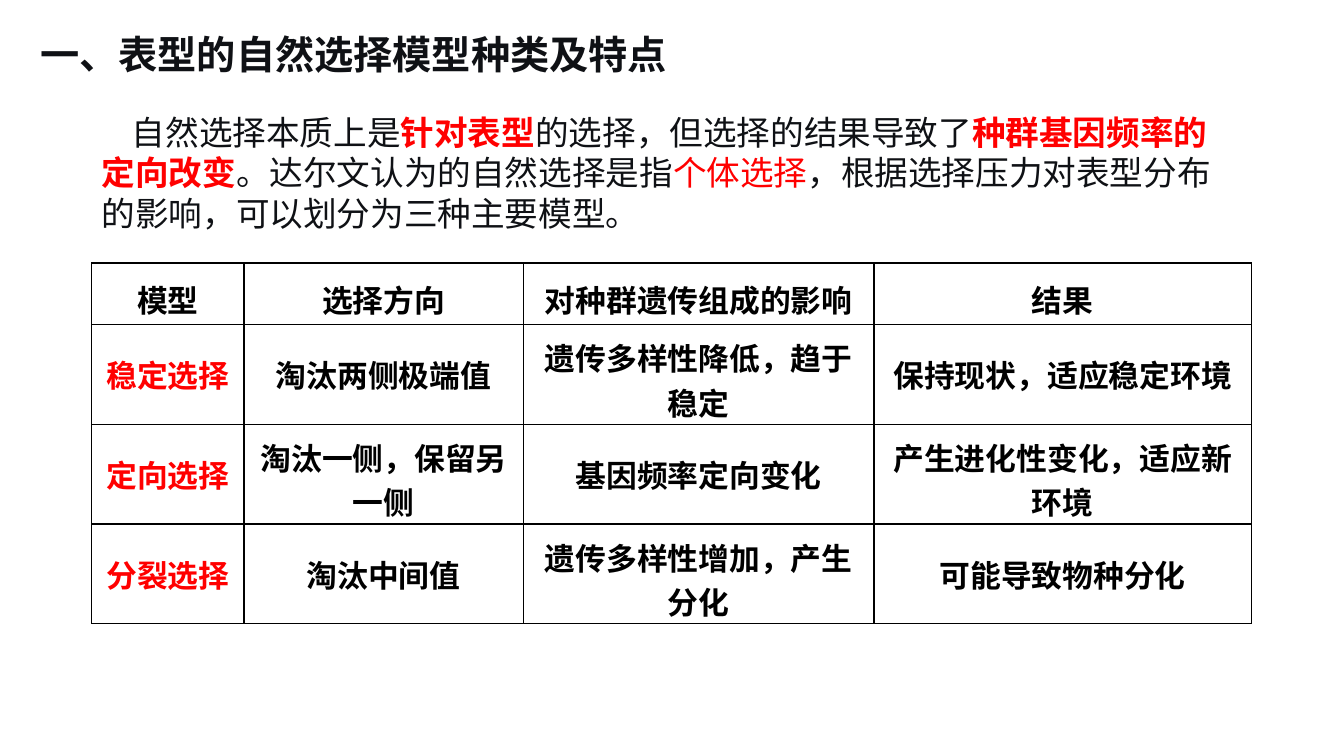
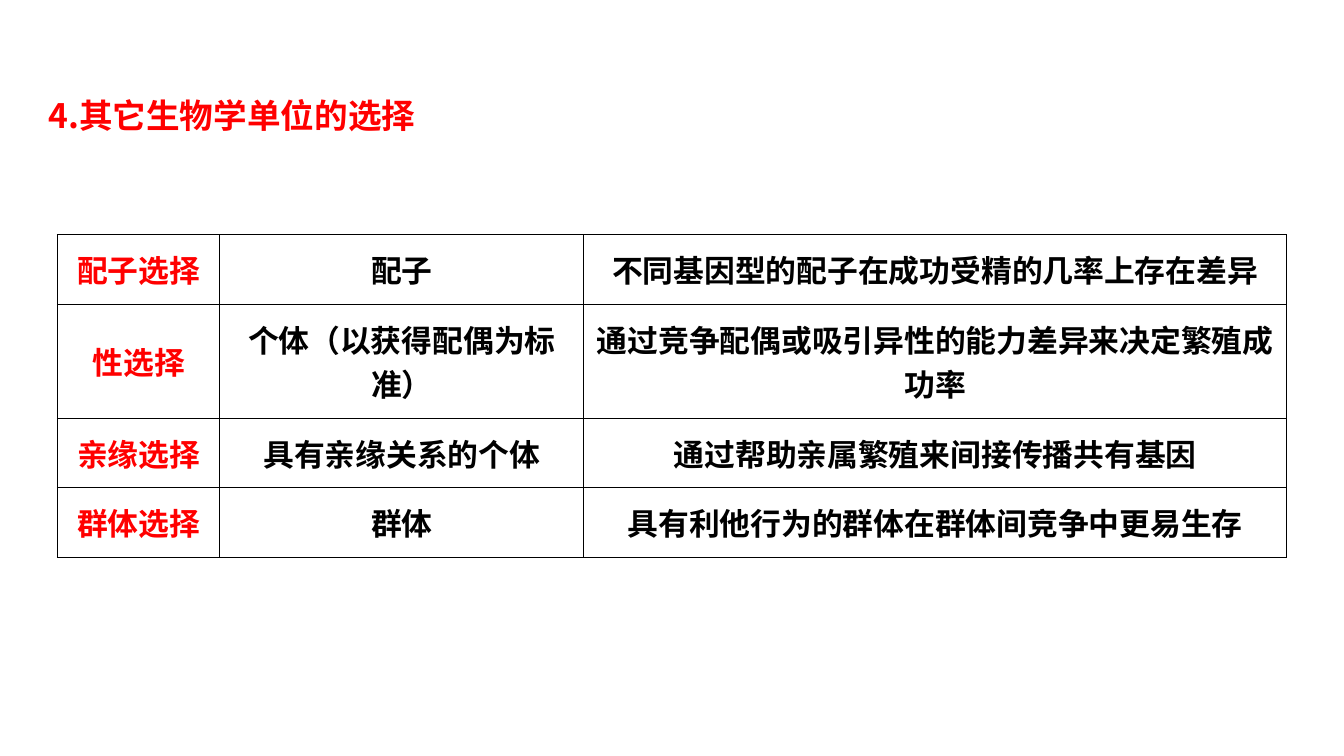
import pptx
import pptx.dml.color
import pptx.enum.text
import pptx.oxml.ns
import pptx.util
from lxml import etree

Inches, Pt = pptx.util.Inches, pptx.util.Pt
RGBColor = pptx.dml.color.RGBColor
ALIGN, ANCHOR = pptx.enum.text.PP_ALIGN, pptx.enum.text.MSO_ANCHOR
qn = pptx.oxml.ns.qn

FONT = "Noto Sans CJK SC"
INK = RGBColor(0x0F, 0x11, 0x15)
RED = RGBColor(0xFF, 0x00, 0x00)
BLACK = RGBColor(0x00, 0x00, 0x00)
WHITE = RGBColor(0xFF, 0xFF, 0xFF)
CELL_SIZE, CELL_MARGIN = 22, 0.12
TEXT_SIZE, TEXT_LEADING = 24, 28.8

# Content: body runs are (text, colour, bold)
BODY = [
    ("自然选择本质上是", INK, False),
    ("针对表型", RED, True),
    ("的选择，但选择的结果导致了", INK, False),
    ("种群基因频率的定向改变", RED, True),
    ("。达尔文认为的自然选择是指", INK, False),
    ("个体选择", RED, False),
    ("，根据选择压力对表型分布的影响，可以划分为三种主要模型。", INK, False),
]
MODELS = [
    ("模型", "选择方向", "对种群遗传组成的影响", "结果"),
    ("稳定选择", "淘汰两侧极端值", "遗传多样性降低，趋于稳定", "保持现状，适应稳定环境"),
    ("定向选择", "淘汰一侧，保留另一侧", "基因频率定向变化", "产生进化性变化，适应新环境"),
    ("分裂选择", "淘汰中间值", "遗传多样性增加，产生分化", "可能导致物种分化"),
]
UNITS = [
    ("配子选择", "配子", "不同基因型的配子在成功受精的几率上存在差异"),
    ("性选择", "个体（以获得配偶为标准）", "通过竞争配偶或吸引异性的能力差异来决定繁殖成功率"),
    ("亲缘选择", "具有亲缘关系的个体", "通过帮助亲属繁殖来间接传播共有基因"),
    ("群体选择", "群体", "具有利他行为的群体在群体间竞争中更易生存"),
]


def style_run(r, size, color, bold):
    r.font.size, r.font.bold, r.font.name = Pt(size), bold, FONT
    r.font.color.rgb = color
    ea = etree.SubElement(r.font._element, qn("a:ea"))
    ea.set("typeface", FONT)


def add_titled_slide(prs, text, box, size, color, leading):
    s = prs.slides.add_slide(prs.slide_layouts[5])
    title = s.shapes.title
    title.left, title.top, title.width, title.height = map(Inches, box)
    tf = title.text_frame
    tf.text = text
    tf.word_wrap = True
    tf.auto_size = pptx.enum.text.MSO_AUTO_SIZE.NONE
    tf.vertical_anchor = ANCHOR.TOP
    p = tf.paragraphs[0]
    p.alignment, p.line_spacing = ALIGN.LEFT, Pt(leading)
    style_run(p.runs[0], size, color, True)
    return s


def add_body(s, runs, box):
    tf = s.shapes.add_textbox(*map(Inches, box)).text_frame
    tf.word_wrap = True
    p = tf.paragraphs[0]
    p.line_spacing = Pt(TEXT_LEADING)
    p._p.get_or_add_pPr().set("indent", str(Inches(0.3)))
    for text, color, bold in runs:
        r = p.add_run()
        r.text = text
        style_run(r, TEXT_SIZE, color, bold)


def add_borders(cell):
    tcPr = cell._tc.get_or_add_tcPr()
    for side in ("lnL", "lnR", "lnT", "lnB"):
        ln = etree.SubElement(tcPr, qn("a:" + side), w=str(Pt(1)))
        fill = etree.SubElement(ln, qn("a:solidFill"))
        etree.SubElement(fill, qn("a:srgbClr"), val=str(BLACK))


def add_grid(s, rows, left, top, widths, heights, header=False, tight=False):
    table = s.shapes.add_table(len(rows), len(widths), Inches(left), Inches(top),
                               Inches(sum(widths)), Inches(sum(heights))).table
    table.first_row = table.horz_banding = False
    for column, width in zip(table.columns, widths):
        column.width = Inches(width)
    for i, (row, height) in enumerate(zip(rows, heights)):
        table.rows[i].height = Inches(height)
        for j, text in enumerate(row):
            cell = table.cell(i, j)
            add_borders(cell)
            cell.fill.solid()
            cell.fill.fore_color.rgb = WHITE
            cell.vertical_anchor = ANCHOR.MIDDLE
            cell.margin_left = cell.margin_right = Inches(CELL_MARGIN)
            cell.margin_top = cell.margin_bottom = Inches(CELL_MARGIN)
            # In a tight table, full cells give up their bottom margin
            wraps = len(text) * CELL_SIZE / 72 > widths[j] - 2 * CELL_MARGIN
            is_header = header and i == 0
            if tight and (wraps or is_header):
                cell.margin_top, cell.margin_bottom = Inches(0.1), 0
            cell.text_frame.text = text
            p = cell.text_frame.paragraphs[0]
            p.alignment = ALIGN.CENTER
            color = RED if j == 0 and not is_header else BLACK
            style_run(p.runs[0], CELL_SIZE, color, True)


def main():
    prs = pptx.Presentation()
    prs.slide_width, prs.slide_height = Inches(13.33), Inches(7.5)

    # Selection models
    s = add_titled_slide(prs, "一、表型的自然选择模型种类及特点",
                         (0.3, 0.4, 7.89, 0.42), 28, INK, 22.5)
    add_body(s, BODY, (0.91, 1.06, 11.49, 1.31))
    add_grid(s, MODELS, 0.91, 2.61, (1.51, 2.77, 3.48, 3.74),
             (0.61, 0.99, 0.99, 0.99), header=True, tight=True)

    # Other units of selection
    s = add_titled_slide(prs, "4.其它生物学单位的选择",
                         (0.38, 0.89, 6.67, 0.5), TEXT_SIZE, RED, TEXT_LEADING)
    add_grid(s, UNITS, 0.57, 2.33, (1.61, 3.61, 6.97), (0.69, 1.13, 0.69, 0.69))

    prs.save("out.pptx")


if __name__ == "__main__":
    main()
